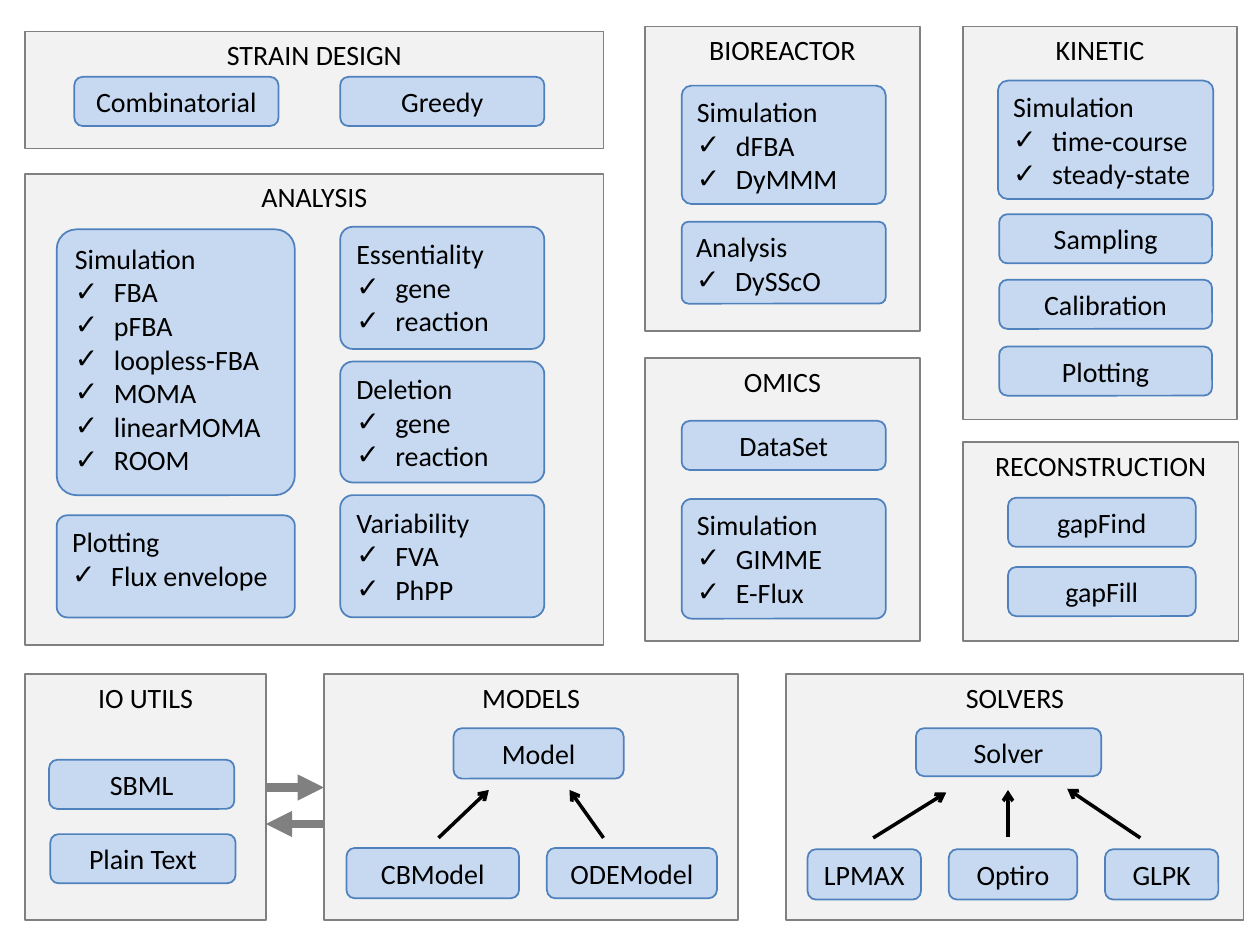
from lxml import etree
from pptx import Presentation
from pptx.dml.color import RGBColor
from pptx.enum.shapes import MSO_CONNECTOR, MSO_SHAPE
from pptx.enum.text import MSO_ANCHOR, PP_ALIGN
from pptx.oxml.ns import qn
from pptx.util import Inches, Pt

RECT, ROUND = MSO_SHAPE.RECTANGLE, MSO_SHAPE.ROUNDED_RECTANGLE
STRAIGHT = MSO_CONNECTOR.STRAIGHT
CENTER, LEFT = PP_ALIGN.CENTER, PP_ALIGN.LEFT
TOP, MIDDLE = MSO_ANCHOR.TOP, MSO_ANCHOR.MIDDLE

FONT, SIZE = "Calibri", 16
INDENT = 0.31
COLORS = {"panel": "F2F2F2", "panel_line": "808080", "box": "C6D9F1",
          "box_line": "4F81BD", "text": "000000"}

# Each panel: title, (left, top, width, height)
PANELS = [
    ("STRAIN DESIGN", (0.2, 0.25, 4.59, 0.93)),
    ("ANALYSIS", (0.2, 1.38, 4.59, 3.74)),
    ("BIOREACTOR", (5.12, 0.21, 2.18, 2.42)),
    ("OMICS", (5.12, 2.84, 2.18, 2.25)),
    ("KINETIC", (7.64, 0.21, 2.18, 3.12)),
    ("RECONSTRUCTION", (7.64, 3.51, 2.19, 1.58)),
    ("IO UTILS", (0.2, 5.35, 1.91, 1.95)),
    ("MODELS", (2.57, 5.35, 3.29, 1.95)),
    ("SOLVERS", (6.24, 5.35, 3.63, 1.95)),
]
# Each label: text, (left, top, width, height)
LABELS = [
    ("Combinatorial", (0.59, 0.61, 1.62, 0.39)),
    ("Greedy", (2.7, 0.61, 1.62, 0.39)),
    ("DataSet", (5.41, 3.34, 1.62, 0.39)),
    ("Sampling", (7.93, 1.7, 1.69, 0.39)),
    ("Calibration", (7.93, 2.22, 1.69, 0.39)),
    ("Plotting", (7.93, 2.75, 1.69, 0.39)),
    ("gapFind", (8, 3.95, 1.49, 0.39)),
    ("gapFill", (8, 4.5, 1.49, 0.39)),
    ("SBML", (0.39, 6.03, 1.47, 0.39)),
    ("Plain Text", (0.4, 6.62, 1.47, 0.39)),
    ("Model", (3.6, 5.78, 1.35, 0.4)),
    ("CBModel", (2.75, 6.73, 1.37, 0.4)),
    ("ODEModel", (4.34, 6.73, 1.35, 0.4)),
    ("Solver", (7.27, 5.78, 1.47, 0.38)),
    ("LPMAX", (6.41, 6.74, 0.9, 0.4)),
    ("Optiro", (7.53, 6.74, 1.02, 0.4)),
    ("GLPK", (8.77, 6.74, 0.9, 0.4)),
]
# Each checklist: heading, items, (left, top, width, height), corner rounding
CHECKLISTS = [
    ("Simulation", ["FBA", "pFBA", "loopless-FBA", "MOMA", "linearMOMA", "ROOM"],
     (0.45, 1.82, 1.89, 2.11), 0.083),
    ("Plotting", ["Flux envelope"], (0.45, 4.09, 1.89, 0.81), 0.104),
    ("Essentiality", ["gene", "reaction"], (2.7, 1.8, 1.62, 0.97), 0.104),
    ("Deletion", ["gene", "reaction"], (2.7, 2.87, 1.62, 0.96), 0.104),
    ("Variability", ["FVA", "PhPP"], (2.7, 3.93, 1.62, 0.97), 0.104),
    ("Simulation", ["dFBA", "DyMMM"], (5.41, 0.68, 1.62, 0.94), 0.083),
    ("Analysis", ["DySScO"], (5.41, 1.76, 1.62, 0.65), 0.083),
    ("Simulation", ["GIMME", "E-Flux"], (5.41, 3.96, 1.62, 0.95), 0.083),
    ("Simulation", ["time-course", "steady-state"], (7.92, 0.64, 1.71, 0.94), 0.083),
]
# Each arrow: start, end
INHERITANCE = [
    ((3.48, 6.65), (3.88, 6.27)),
    ((4.79, 6.65), (4.52, 6.27)),
    ((6.93, 6.65), (7.51, 6.29)),
    ((8, 6.64), (8, 6.27)),
    ((9.05, 6.65), (8.47, 6.26)),
]
EXCHANGE = [((2.11, 6.25), (2.57, 6.25)), ((2.57, 6.54), (2.11, 6.54))]


def rgb(name):
    """Return the named colour."""
    return RGBColor.from_string(COLORS[name])


def add_block(s, shape, style, place, lines, align, anchor):
    """Add a filled, outlined shape with one paragraph per line."""
    sp = s.shapes.add_shape(shape, *map(Inches, place))
    sp.shadow.inherit = False
    sp.fill.solid()
    sp.fill.fore_color.rgb = rgb(style)
    sp.line.color.rgb = rgb(style + "_line")
    sp.line.width = Pt(1)
    tf = sp.text_frame
    tf.word_wrap = True
    tf.vertical_anchor = anchor
    tf.text = "\n".join(lines)
    for p in tf.paragraphs:
        p.alignment = align
        for r in p.runs:
            r.font.name, r.font.size = FONT, Pt(SIZE)
            r.font.color.rgb = rgb("text")
    return sp


def add_check(p):
    """Give a paragraph a hanging check-mark bullet."""
    pPr = p._p.get_or_add_pPr()
    pPr.set("marL", str(Inches(INDENT)))
    pPr.set("indent", str(-Inches(INDENT)))
    etree.SubElement(pPr, qn("a:buFont"), typeface="Arial")
    etree.SubElement(pPr, qn("a:buChar"), char="\u2713")


def add_checklist(s, heading, items, place, rounding):
    """Add a rounded box with a heading and checked items."""
    sp = add_block(s, ROUND, "box", place, [heading, *items], LEFT, TOP)
    sp.adjustments[0] = rounding
    for p in sp.text_frame.paragraphs[1:]:
        add_check(p)


def add_arrow(s, start, end, color, width, head):
    """Add a straight arrow pointing at its end."""
    cn = s.shapes.add_connector(STRAIGHT, *map(Inches, start + end))
    cn.line.color.rgb = rgb(color)
    cn.line.width = Pt(width)
    etree.SubElement(cn.line._get_or_add_ln(), qn("a:tailEnd"), type=head)
    etree.SubElement(cn._element.spPr, qn("a:effectLst"))


def main():
    """Build the module overview."""
    prs = Presentation()
    prs.slide_width, prs.slide_height = Inches(10), Inches(7.5)
    s = prs.slides.add_slide(prs.slide_layouts[6])
    for title, place in PANELS:
        add_block(s, RECT, "panel", place, [title], CENTER, TOP)
    for text, place in LABELS:
        add_block(s, ROUND, "box", place, [text], CENTER, MIDDLE)
    for checklist in CHECKLISTS:
        add_checklist(s, *checklist)
    for start, end in INHERITANCE:
        add_arrow(s, start, end, "text", 2, "arrow")
    for start, end in EXCHANGE:
        add_arrow(s, start, end, "panel_line", 5, "triangle")
    prs.save("out.pptx")


main()
